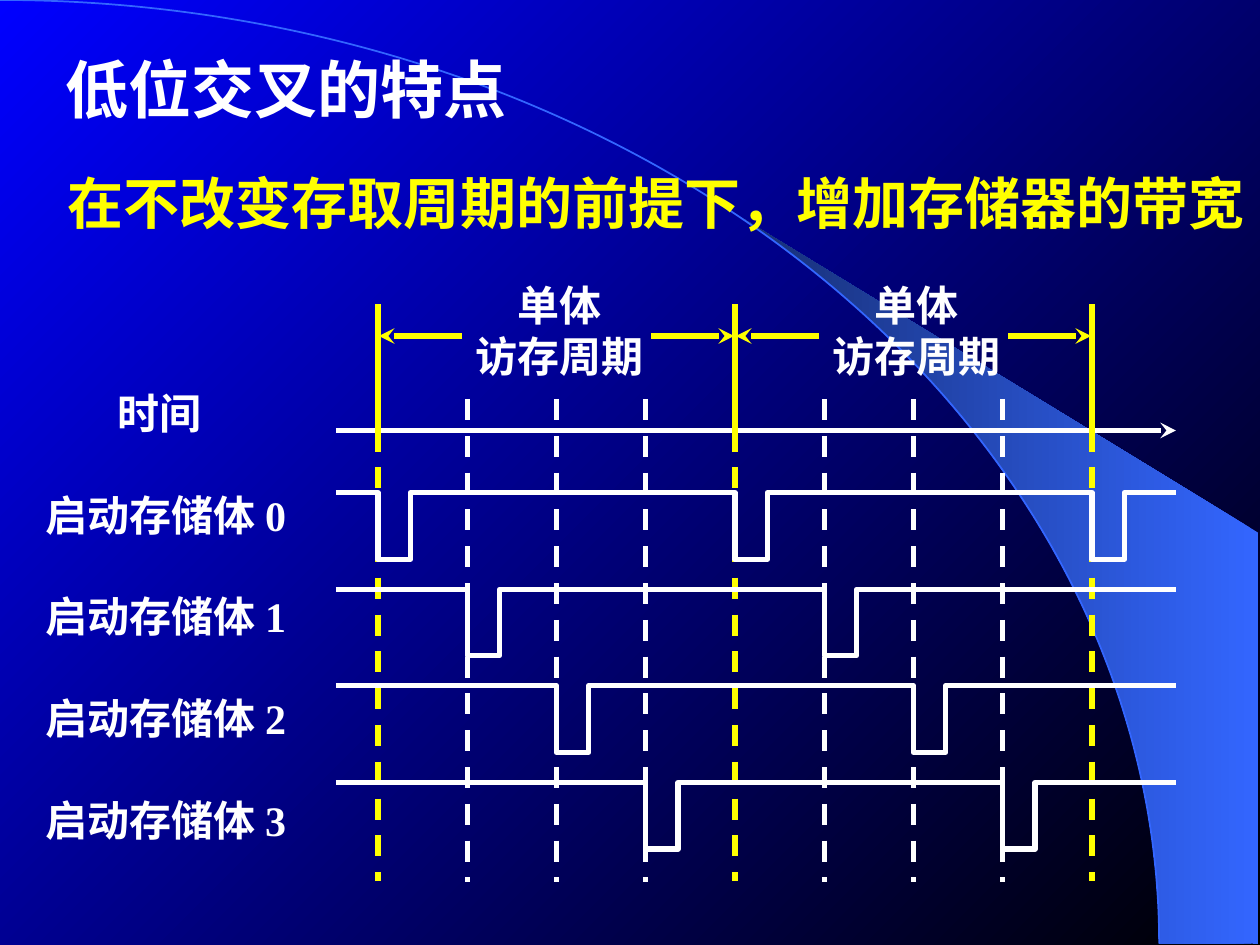
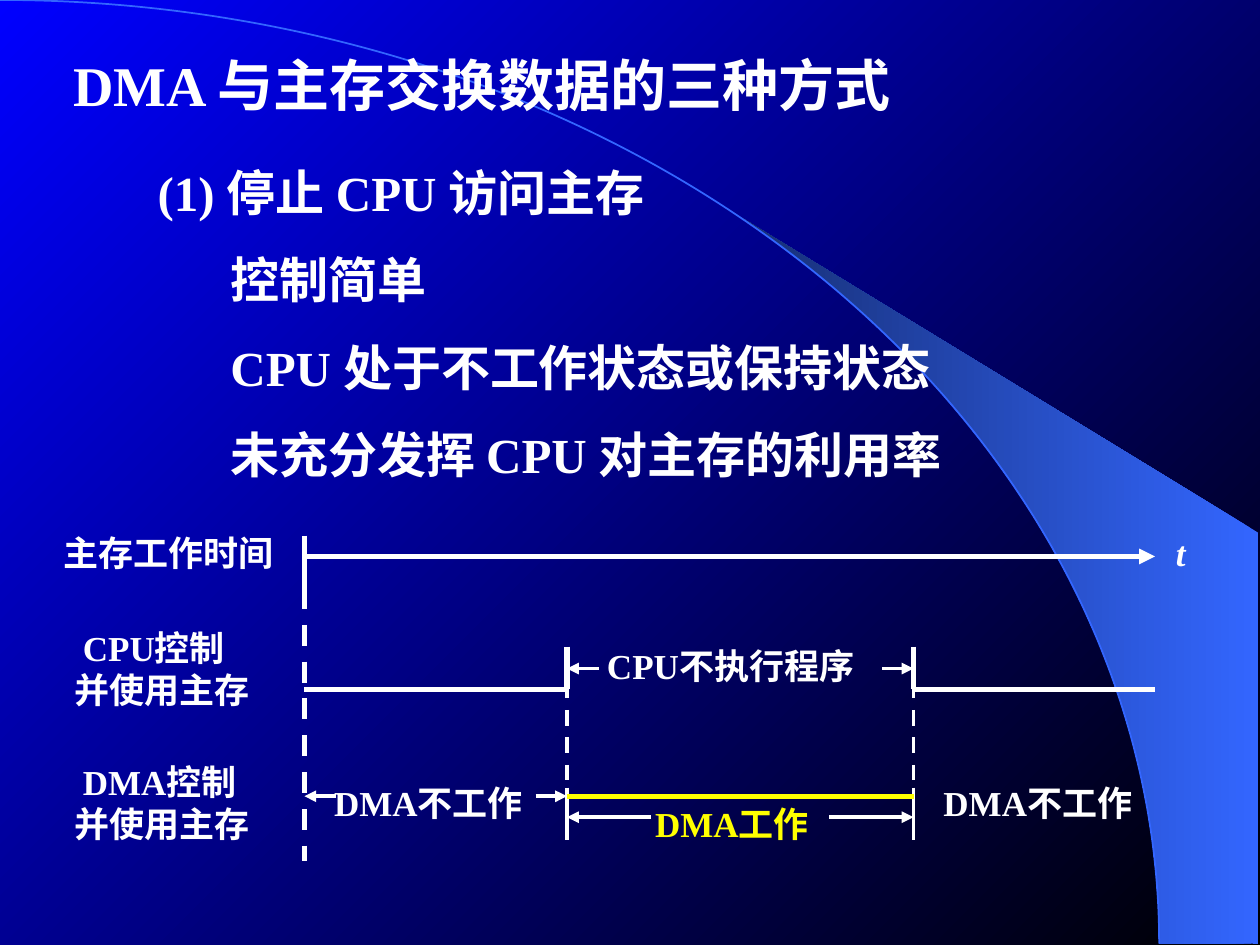
from math import asin, cos, pi, sin

from lxml import etree
from pptx import Presentation
from pptx.dml.color import RGBColor
from pptx.enum.dml import MSO_LINE
from pptx.enum.shapes import MSO_CONNECTOR, MSO_SHAPE
from pptx.enum.text import MSO_AUTO_SIZE, PP_ALIGN
from pptx.oxml.ns import qn
from pptx.util import Pt

STRAIGHT = MSO_CONNECTOR.STRAIGHT
ARC = MSO_SHAPE.ARC
DASH = MSO_LINE.DASH
FIT_TEXT = MSO_AUTO_SIZE.SHAPE_TO_FIT_TEXT
LEFT, CENTER = PP_ALIGN.LEFT, PP_ALIGN.CENTER

WHITE, YELLOW = "FFFFFF", "FFFF00"
BLACK, BLUE = "000000", "0000FF"
SKY, NAVY = "3366FF", "172F75"
FONT = "Times New Roman"
ARC_WIDTH, ARC_HEIGHT = 662.4, 539.2
BEAM_TIP = (424.1, 124.6)


def rgb(value):
    return RGBColor.from_string(value)


def paint_gradient(fill, colors, angle):
    fill.gradient()
    fill.gradient_angle = angle
    for stop, color in zip(fill.gradient_stops, colors):
        stop.color.rgb = rgb(color)


class Deck:
    def __init__(self):
        self.presentation = Presentation()
        self.presentation.slide_width = Pt(720)
        self.presentation.slide_height = Pt(540)
        paint_gradient(self.presentation.slide_master.background.fill, (BLACK, BLUE), 135)
        self.slide = None

    def add_slide(self):
        self.slide = self.presentation.slides.add_slide(self.presentation.slide_layouts[6])
        self.beam()
        horizon = self.slide.shapes.add_shape(
            ARC, Pt(-ARC_WIDTH), Pt(0), Pt(2 * ARC_WIDTH), Pt(2 * ARC_HEIGHT))
        horizon.shadow.inherit = False
        horizon.fill.background()
        self.stroke(horizon.line, SKY, 1)

    def beam(self):
        steps = 24
        first = asin(BEAM_TIP[0] / ARC_WIDTH)
        angles = [first + (pi / 2 - first) * i / steps for i in range(1, steps + 1)]
        points = [(719.3, 539.3), (719.3, 304.6), BEAM_TIP]
        points += [(ARC_WIDTH * sin(a), ARC_HEIGHT * (1 - cos(a))) for a in angles]
        shape = self.outline(points, True)
        paint_gradient(shape.fill, (SKY, NAVY), 180)
        shape.line.fill.background()

    def outline(self, points, close):
        corners = [(Pt(x), Pt(y)) for x, y in points]
        builder = self.slide.shapes.build_freeform(*corners[0])
        builder.add_line_segments(corners[1:], close=close)
        shape = builder.convert_to_shape()
        shape.shadow.inherit = False
        return shape

    def stroke(self, line, color, width):
        line.color.rgb = rgb(color)
        line.width = Pt(width)

    def wave(self, points):
        shape = self.outline(points, False)
        shape.fill.background()
        self.stroke(shape.line, WHITE, 3)

    def line(self, x1, y1, x2, y2, color=WHITE, width=3, dashed=False, head=None):
        connector = self.slide.shapes.add_connector(STRAIGHT, Pt(x1), Pt(y1), Pt(x2), Pt(y2))
        self.stroke(connector.line, color, width)
        if dashed:
            connector.line.dash_style = DASH
        properties = connector._element.spPr
        if head:
            etree.SubElement(properties.find(qn("a:ln")), qn("a:tailEnd"), type=head)
        etree.SubElement(properties, qn("a:effectLst"))

    def text(self, x, y, width, height, lines, size, color=WHITE,
             align=LEFT, italic=False, first_indent=0):
        box = self.slide.shapes.add_textbox(Pt(x), Pt(y), Pt(width), Pt(height))
        frame = box.text_frame
        frame.text = lines
        frame.word_wrap = True
        frame.auto_size = FIT_TEXT
        if first_indent:
            frame.paragraphs[0]._p.get_or_add_pPr().set("marL", str(Pt(first_indent)))
        for paragraph in frame.paragraphs:
            paragraph.alignment = align
            font = paragraph.font
            font.name = FONT
            font.size = Pt(size)
            font.bold = True
            font.italic = italic
            font.color.rgb = rgb(color)


def interleaving_slide(deck):
    start, period, end = 216, 204, 624
    bank_step = period / 4
    axis_left, axis_right, axis_y = 192, 672, 246
    wave_top, wave_pitch, pulse_depth, pulse_width = 281.5, 55.2, 38, 18.5

    deck.add_slide()
    for bank in (1, 2, 3):
        for cycle in (0, 1):
            x = start + cycle * period + bank * bank_step
            deck.line(x, 228, x, 504, dashed=True)
    for x in range(start, end + 1, period):
        deck.line(x, axis_y, x, 503.5, YELLOW, dashed=True)

    deck.text(30.3, 25.5, 290, 50, "低位交叉的特点", 36)
    deck.text(31.7, 92.5, 688, 46, "在不改变存取周期的前提下，增加存储器的带宽", 32, YELLOW)
    deck.text(60.2, 218, 75, 36, "时间", 24)
    deck.line(axis_left, axis_y, axis_right, axis_y, head="stealth")

    for bank in range(4):
        high = wave_top + bank * wave_pitch
        low = high + pulse_depth
        points = [(axis_left, high)]
        first_pulse = start + bank * bank_step
        for cycle in range(3 if bank == 0 else 2):
            fall = first_pulse + cycle * period
            rise = fall + pulse_width
            points += [(fall, high), (fall, low), (rise, low), (rise, high)]
        deck.wave(points + [(axis_right, high)])
        deck.text(18.9, 276 + bank * 58.1, 170, 36, f"启动存储体 {bank}", 24)

    for left in (start, start + period):
        right = left + period
        deck.text(left + 38.5, 156.3, 130, 65, "单体\n访存周期", 24, align=CENTER)
        deck.line(left + 48, 192, left + 0.5, 192, YELLOW, head="stealth")
        deck.line(right - 48, 192, right - 0.5, 192, YELLOW, head="stealth")
    for x in range(start, end + 1, period):
        deck.line(x, 174, x, 252, YELLOW)


def dma_slide(deck):
    origin, dma_start, dma_end, axis_end = 174, 324, 522, 660
    cpu_y, dma_y, span_y = 393.8, 455, 467

    deck.add_slide()
    deck.text(34.7, 25.5, 510, 46, "DMA 与主存交换数据的三种方式", 32)
    deck.text(83, 89.3, 409, 41, "(1) 停止 CPU 访问主存", 28)
    features = ("控制简单", "CPU 处于不工作状态或保持状态", "未充分发挥 CPU 对主存的利用率")
    for row, feature in enumerate(features):
        deck.text(124.6, 139.3 + 50 * row, 487, 41, feature, 28)

    deck.text(29, 300, 145, 32, "主存工作时间", 20)
    deck.text(664.8, 300, 30, 32, "t", 20, italic=True)
    for y, user in ((354.2, "CPU"), (430.8, "DMA")):
        deck.text(35.3, y, 130, 55, f"{user}控制\n并使用主存", 20, first_indent=5)
    deck.line(origin, 306, origin, 336)
    deck.line(origin, 318, axis_end, 318, head="triangle")
    deck.line(origin, 336, origin, 492, dashed=True)

    deck.line(origin, cpu_y, dma_start, cpu_y)
    deck.line(dma_end, cpu_y, axis_end, cpu_y)
    for x in (dma_start, dma_end):
        deck.line(x, 369.5, x, cpu_y)
        deck.line(x, 390, x, 456, width=2.25, dashed=True)
        deck.line(x, 450, x, 480, width=2.25)
    deck.line(dma_start, dma_y, dma_end, dma_y, YELLOW)

    arrows = (
        (382, dma_start, dma_end, 18),
        (dma_y, origin, dma_start, 18),
        (span_y, dma_start, dma_end, 48),
    )
    for y, left, right, length in arrows:
        deck.line(left + length, y, left, y, width=2.25, head="triangle")
        deck.line(right - length, y, right, y, width=2.25, head="triangle")

    deck.text(339.8, 365, 175, 32, "CPU不执行程序", 20)
    for x in (183.8, 532):
        deck.text(x, 442.8, 140, 32, "DMA不工作", 20)
    deck.text(367.2, 455, 120, 32, "DMA工作", 20, YELLOW)


def main():
    deck = Deck()
    interleaving_slide(deck)
    dma_slide(deck)
    deck.presentation.save("out.pptx")


if __name__ == "__main__":
    main()
